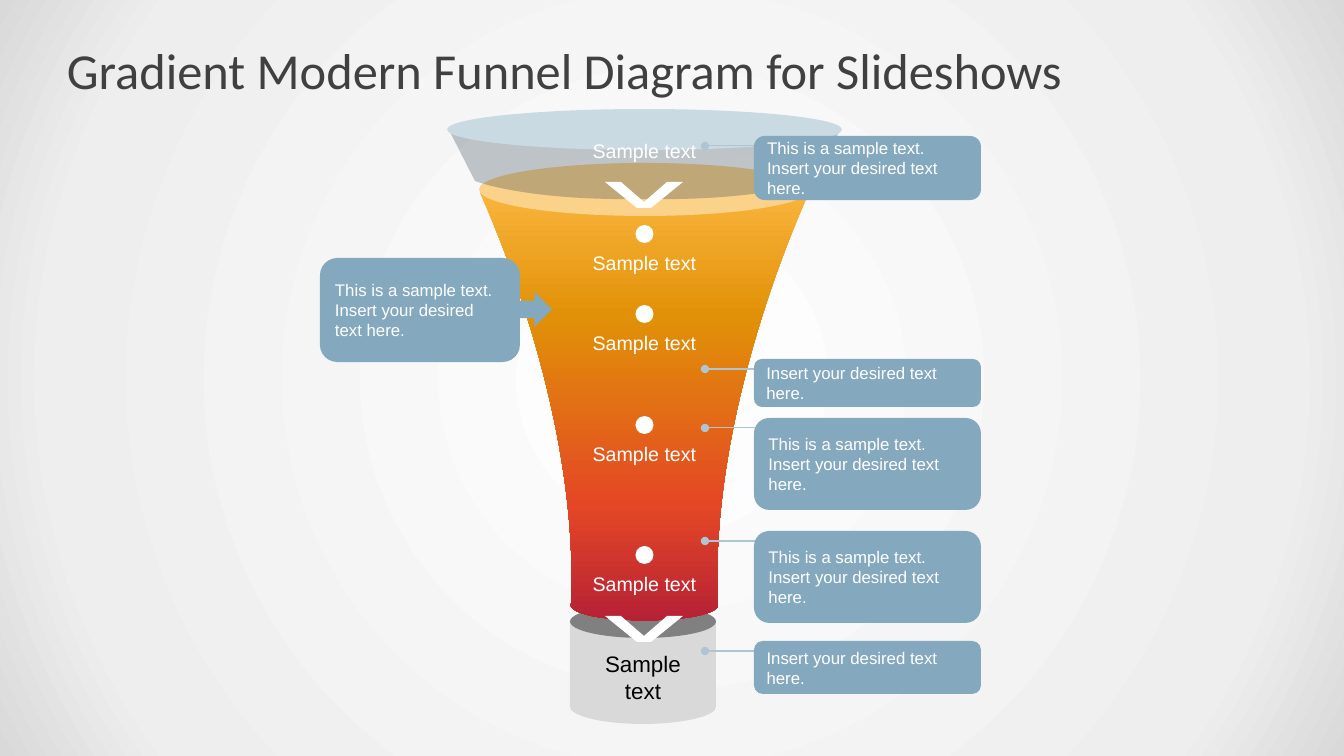
from lxml import etree
from pptx import Presentation
from pptx.dml.color import RGBColor
from pptx.enum.shapes import MSO_CONNECTOR, MSO_SHAPE
from pptx.enum.text import MSO_ANCHOR, PP_ALIGN
from pptx.oxml.ns import qn
from pptx.util import Pt

PX = 914400 / 100.8
OVAL, ROUNDED, ARROW = MSO_SHAPE.OVAL, MSO_SHAPE.ROUNDED_RECTANGLE, MSO_SHAPE.RIGHT_ARROW
STRAIGHT = MSO_CONNECTOR.STRAIGHT
TOP, MIDDLE, BOTTOM = MSO_ANCHOR.TOP, MSO_ANCHOR.MIDDLE, MSO_ANCHOR.BOTTOM
LEFT, CENTER = PP_ALIGN.LEFT, PP_ALIGN.CENTER

WHITE = RGBColor(0xFF, 0xFF, 0xFF)
BLACK = RGBColor(0x00, 0x00, 0x00)
TITLE_GRAY = RGBColor(0x40, 0x40, 0x40)
CALLOUT_BLUE = RGBColor(0x84, 0xA9, 0xBE)
POINTER_BLUE = RGBColor(0xAE, 0xC6, 0xD4)
RIM_BLUE = RGBColor(0xCA, 0xDA, 0xE3)
GLASS = RGBColor(0x25, 0x3A, 0x46)
MOUTH_YELLOW = RGBColor(0xFB, 0xD2, 0x8A)
OUTLET_LIGHT = RGBColor(0xD9, 0xD9, 0xD9)
OUTLET_DARK = RGBColor(0x80, 0x80, 0x80)
BACKDROP = [(0, WHITE), (81, RGBColor(0xEE, 0xEE, 0xEE)), (100, OUTLET_LIGHT)]
FUNNEL = [(0, RGBColor(0xF9, 0xB4, 0x3C)), (29, RGBColor(0xE1, 0x91, 0x07)),
          (73, RGBColor(0xE4, 0x47, 0x25)), (100, RGBColor(0xB6, 0x21, 0x36))]

INTRO = "This is a sample text."
INSERT = "Insert your desired text here."


def px(value):
    return round(value * PX)


def write(frame, lines, size, color, align=LEFT, anchor=TOP, font="Arial",
          insets=(10, 5, 10, 5)):
    frame.word_wrap = True
    frame.vertical_anchor = anchor
    (frame.margin_left, frame.margin_top,
     frame.margin_right, frame.margin_bottom) = map(px, insets)
    for index, line in enumerate(lines):
        paragraph = frame.add_paragraph() if index else frame.paragraphs[0]
        paragraph.alignment = align
        run = paragraph.add_run()
        run.text = line
        run.font.size, run.font.name = Pt(size), font
        run.font.color.rgb = color


def finish(shape, color):
    shape.shadow.inherit = False
    shape.line.fill.background()
    shape.fill.solid()
    shape.fill.fore_color.rgb = color
    return shape


def add_preset(slide, kind, box, color):
    return finish(slide.shapes.add_shape(kind, *map(px, box)), color)


def add_outline(slide, points, color):
    points = [(px(x), px(y)) for x, y in points]
    builder = slide.shapes.build_freeform(*points[0], scale=1.0)
    builder.add_line_segments(points[1:], close=True)
    return finish(builder.convert_to_shape(), color)


def add_vessel(slide, left_half, axis, color):
    """Symmetric outline: a start point, then two controls and an end per curve."""
    half = left_half + [(2 * axis - x, y) for x, y in reversed(left_half[:-1])]
    vessel = add_outline(slide, half[::3], color)
    segments = vessel._element.spPr.findall(".//" + qn("a:lnTo"))
    for index, segment in enumerate(segments[:len(half) // 3]):
        curve = etree.Element(qn("a:cubicBezTo"))
        for x, y in half[3 * index + 1:3 * index + 4]:
            etree.SubElement(curve, qn("a:pt"), x=str(px(x) - vessel.left),
                             y=str(px(y) - vessel.top))
        segment.getparent().replace(segment, curve)
    return vessel


def set_gradient(fill, holder, stops, circular=False):
    fill.gradient()
    gradient = holder.find(".//" + qn("a:gradFill"))
    for child in list(gradient):
        gradient.remove(child)
    stop_list = etree.SubElement(gradient, qn("a:gsLst"))
    for position, color in stops:
        stop = etree.SubElement(stop_list, qn("a:gs"), pos=str(position * 1000))
        etree.SubElement(stop, qn("a:srgbClr"), val=str(color))
    if circular:
        shade = etree.SubElement(gradient, qn("a:path"), path="circle")
        etree.SubElement(shade, qn("a:fillToRect"), dict.fromkeys("ltrb", "50000"))
    else:
        etree.SubElement(gradient, qn("a:lin"), ang="5400000", scaled="0")


def add_title(slide, box):
    title = slide.shapes.add_textbox(*map(px, box))
    write(title.text_frame, ["Gradient Modern Funnel Diagram for Slideshows"], 36,
          TITLE_GRAY, anchor=MIDDLE, font="Calibri", insets=(0, 7, 0, 7))


def add_outlet(slide, box):
    x, y, w, h = box
    axis = x + w / 2
    edge, base = (x, y), (x, y + h - 17)
    wall = [edge, edge, base, base, (x, y + h - 8), (x + 33, y + h), (axis, y + h)]
    cup = add_vessel(slide, wall, axis, OUTLET_LIGHT)
    write(cup.text_frame, ["Sample", "text"], 16, BLACK, CENTER, BOTTOM,
          insets=(10, 5, 10, 20))
    add_preset(slide, OVAL, (x, y - 16, w, 33), OUTLET_DARK)


def add_funnel(slide, box):
    x, y, w, h = box
    axis = x + w / 2
    # Coloured body
    inner, top = (axis - 14, y + 97), (x + 33, y + 84)
    neck, low = (x + 124, y + 497), (axis - 14, y + h - 1)
    side = [inner, inner, top, top, top, (x + 134, y + 296), neck,
            neck, (x + 126, y + 509), low,
            (axis - 10, y + h), (axis - 5, y + h), (axis, y + h)]
    body = add_vessel(slide, side, axis, WHITE)
    set_gradient(body.fill, body._element.spPr, FUNNEL)
    add_preset(slide, OVAL, (x + 32, y + 54, w - 64, 53), MOUTH_YELLOW)
    # Glass collar and rim
    brim, corner = (x + 2, y + 21), (x + 28, y + 72)
    collar = [brim, brim, corner, corner, corner, (x + 78, y + 92), (axis, y + 90)]
    glass = add_vessel(slide, collar, axis, GLASS)
    tint = glass._element.spPr.find(".//" + qn("a:srgbClr"))
    etree.SubElement(tint, qn("a:alpha"), val="28000")
    add_preset(slide, OVAL, (x, y, w, 41), RIM_BLUE)


def add_pointer(slide, x, y, length):
    pointer = slide.shapes.add_connector(STRAIGHT, px(x), px(y), px(x + length), px(y))
    pointer.line.color.rgb = POINTER_BLUE
    pointer.line.width = Pt(0.75)
    line = pointer.line._get_or_add_ln()
    for end in ("a:headEnd", "a:tailEnd"):
        etree.SubElement(line, qn(end), type="oval")
    etree.SubElement(pointer._element.spPr, qn("a:effectLst"))


def add_callout(slide, box, lines):
    callout = add_preset(slide, ROUNDED, box, CALLOUT_BLUE)
    write(callout.text_frame, lines, 12, WHITE, anchor=MIDDLE)


def add_right_callout(slide, box, lines):
    x, y, _, _ = box
    add_pointer(slide, x - 49, y + 10, 109)
    add_callout(slide, box, lines)


def add_left_callout(slide, box, lines):
    x, y, w, _ = box
    add_preset(slide, ARROW, (x + w - 18, y + 34, 50, 35), CALLOUT_BLUE)
    add_callout(slide, box, lines)


def add_stage(slide, box, dotted):
    x, y, w, _ = box
    label = slide.shapes.add_textbox(*map(px, box))
    write(label.text_frame, ["Sample text"], 14, WHITE, CENTER)
    if dotted:
        add_preset(slide, OVAL, (x + w / 2 - 9, y - 21, 18, 18), WHITE)


def add_chevron(slide, box):
    x, y, w, h = box
    left_half = [(x + 32, y + h), (x, y), (x + 16, y), (x + w / 2, y + 20)]
    right_half = [(2 * x + w - px_x, px_y) for px_x, px_y in reversed(left_half[:-1])]
    add_outline(slide, left_half + right_half, WHITE)


def main():
    deck = Presentation()
    deck.slide_width, deck.slide_height = px(1344), px(756)
    slide = deck.slides.add_slide(deck.slide_layouts[6])
    set_gradient(slide.background.fill, slide._element, BACKDROP, circular=True)

    add_title(slide, (67, 30, 1210, 79))
    add_outlet(slide, (570, 621, 146, 103))
    add_funnel(slide, (447, 109, 395, 512))

    for top, height, lines in [(136, 64, [INTRO, INSERT]), (359, 48, [INSERT]),
                               (418, 92, [INTRO, INSERT]), (531, 92, [INTRO, INSERT]),
                               (641, 53, [INSERT])]:
        add_right_callout(slide, (754, top, 227, height), lines)
    add_left_callout(slide, (320, 258, 200, 104), [INTRO, INSERT])

    for top, dotted in [(134, False), (246, True), (326, True), (437, True), (567, True)]:
        add_stage(slide, (572, top, 145, 34), dotted)
    for top in (182, 616):
        add_chevron(slide, (605, top, 78, 26))

    deck.save("out.pptx")


if __name__ == "__main__":
    main()
